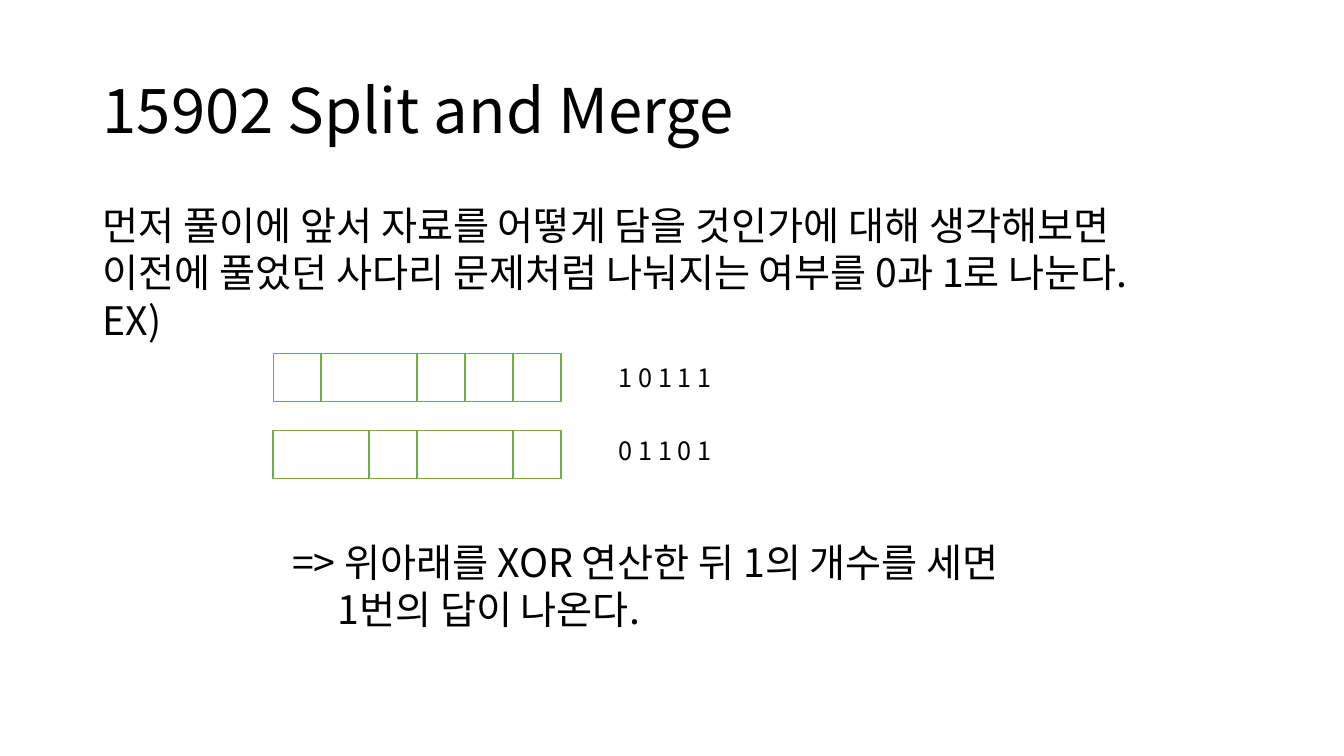
from pptx import Presentation
from pptx import util as u
from pptx.dml.color import RGBColor
from pptx.enum import shapes, text

COLORS = {"ink": "000000", "cell": "FFFFFF", "outline": "70AD47"}
FONT = "Noto Sans CJK KR"

deck = Presentation()
deck.slide_width, deck.slide_height = u.Inches(13.33), u.Inches(7.5)
page = deck.slides.add_slide(deck.slide_layouts[6])


def add_text(lines, left, top, width, height, size=28, spacing=0.9, before=0,
             anchor=text.MSO_ANCHOR.TOP, wrap=True, indents=()):
    box = page.shapes.add_textbox(*map(u.Inches, (left, top, width, height)))
    frame = box.text_frame
    frame.word_wrap = wrap
    frame.vertical_anchor = anchor
    for number, line in enumerate(lines):
        para = frame.paragraphs[0] if number == 0 else frame.add_paragraph()
        para.line_spacing = spacing
        para.space_before = u.Pt(before)
        if number < len(indents):
            para._p.get_or_add_pPr().set("marL", str(u.Inches(indents[number])))
        span = para.add_run()
        span.text = line
        span.font.name = FONT
        span.font.size = u.Pt(size)
        span.font.color.rgb = RGBColor.from_string(COLORS["ink"])
        # Hangul takes its typeface from the East Asian font slot
        east = span.font._element.makeelement(
            "{http://schemas.openxmlformats.org/drawingml/2006/main}ea",
            {"typeface": FONT})
        span.font._element.append(east)


# Title and explanation
add_text(["15902 Split and Merge"], 0.92, 0.4, 11.5, 1.45, size=44,
         anchor=text.MSO_ANCHOR.MIDDLE)
add_text(["먼저 풀이에 앞서 자료를 어떻게 담을 것인가에 대해 생각해보면",
          "이전에 풀었던 사다리 문제처럼 나눠지는 여부를 0과 1로 나눈다.",
          "EX)"], 0.92, 2, 11.5, 1.75, before=3.6)

# Split rows: piece lengths in cells, with the matching bits
CELL, ROW_LEFT = 0.476, 2.71
split_rows = [
    (3.51, [1, 2, 1, 1, 1], "1 0 1 1 1", 3.55),
    (4.27, [2, 1, 2, 1], "0 1 1 0 1", 4.27),
]
for row_top, pieces, bits, bits_top in split_rows:
    left = ROW_LEFT
    for length in pieces:
        piece = page.shapes.add_shape(
            shapes.MSO_SHAPE.RECTANGLE, u.Inches(left), u.Inches(row_top),
            u.Inches(length * CELL), u.Inches(CELL))
        piece.shadow.inherit = False
        piece.fill.solid()
        piece.fill.fore_color.rgb = RGBColor.from_string(COLORS["cell"])
        piece.line.color.rgb = RGBColor.from_string(COLORS["outline"])
        piece.line.width = u.Pt(1)
        left += length * CELL
    add_text([bits], 6.04, bits_top, 1.25, 0.4, size=18, spacing=1, wrap=False)

# Conclusion
add_text(["=> 위아래를 XOR 연산한 뒤 1의 개수를 세면", "1번의 답이 나온다."],
         2.8, 5.34, 9.62, 1.25, before=3.6, indents=(0, 0.45))

deck.save("out.pptx")
